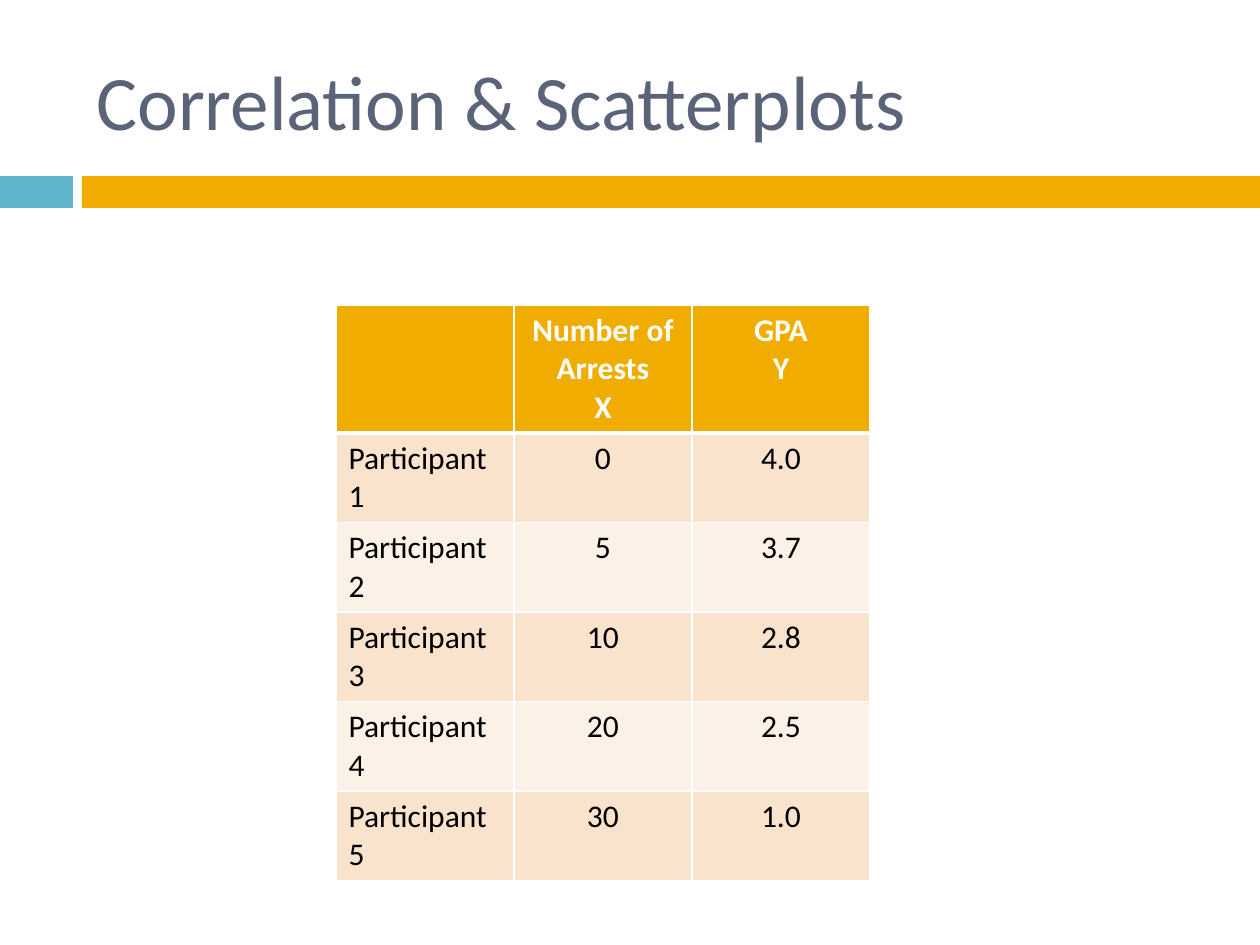
from lxml.etree import SubElement
from pptx import Presentation
from pptx.dml.color import RGBColor
from pptx.enum.shapes import MSO_SHAPE as Shape
from pptx.enum.text import MSO_ANCHOR as Anchor, PP_ALIGN as Align
from pptx.oxml.ns import qn
from pptx.util import Emu, Pt

PX = 914400 // 126
WHITE = RGBColor(0xFF, 0xFF, 0xFF)
BLACK = RGBColor(0x00, 0x00, 0x00)
SLATE = RGBColor(0x5A, 0x63, 0x78)
BLUE = RGBColor(0x60, 0xB5, 0xCC)
GOLD = RGBColor(0xF0, 0xAD, 0x00)
PEACH = RGBColor(0xF9, 0xE3, 0xCC)
CREAM = RGBColor(0xFC, 0xF1, 0xE7)

HEADER = ["", "Number of Arrests\nX", "GPA\nY"]
RESULTS = [("0", "4.0"), ("5", "3.7"), ("10", "2.8"), ("20", "2.5"), ("30", "1.0")]


class SlideBuilder:
    """Holds the type style and the current slide."""

    def __init__(self, slide, font_name="Calibri"):
        self.slide = slide
        self.font_name = font_name

    def box(self, *lengths):
        return [Emu(length * PX) for length in lengths]

    def style_text(self, text_frame, size, color, align, bold=False):
        for paragraph in text_frame.paragraphs:
            paragraph.alignment = align
            font = paragraph.font
            font.size, font.bold, font.name = Pt(size), bold, self.font_name
            font.color.rgb = color

    def title(self, text, *place):
        shape = self.slide.shapes.title
        shape.left, shape.top, shape.width, shape.height = self.box(*place)
        shape.text_frame.text = text
        shape.text_frame.vertical_anchor = Anchor.MIDDLE
        self.style_text(shape.text_frame, 44, SLATE, Align.LEFT)

    def bar(self, color, *place):
        shape = self.slide.shapes.add_shape(Shape.RECTANGLE, *self.box(*place))
        shape.shadow.inherit = False
        shape.fill.solid()
        shape.fill.fore_color.rgb = color
        shape.line.fill.background()

    def borders(self, cell, bottom):
        properties = cell._tc.get_or_add_tcPr()
        widths = {"a:lnL": 1, "a:lnR": 1, "a:lnT": 1, "a:lnB": bottom}
        for index, (side, width) in enumerate(widths.items()):
            line = SubElement(properties, qn(side), w=str(Pt(width)))
            fill = SubElement(line, qn("a:solidFill"))
            SubElement(fill, qn("a:srgbClr"), val=str(WHITE))
            properties.insert(index, line)

    def cell(self, cell, text, row, column):
        header = row == 0
        cell.text_frame.text = text
        align = Align.LEFT if column == 0 and not header else Align.CENTER
        self.style_text(cell.text_frame, 18, WHITE if header else BLACK, align, header)
        cell.fill.solid()
        cell.fill.fore_color.rgb = GOLD if header else (CREAM, PEACH)[row % 2]
        self.borders(cell, 3 if header else 1)

    def table(self, rows, left, top, column_width, row_height):
        columns = len(rows[0])
        place = self.box(left, top, column_width * columns, row_height * len(rows))
        table = self.slide.shapes.add_table(len(rows), columns, *place).table
        for row, texts in enumerate(rows):
            for column, text in enumerate(texts):
                self.cell(table.cell(row, column), text, row, column)


def main():
    presentation = Presentation()
    presentation.slide_width = Emu(1260 * PX)
    presentation.slide_height = Emu(945 * PX)
    slide = presentation.slides.add_slide(presentation.slide_layouts[5])
    builder = SlideBuilder(slide)
    builder.bar(BLUE, 0, 176, 73, 32)
    builder.bar(GOLD, 82, 176, 1178, 32)
    builder.title("Correlation & Scatterplots", 84, 32, 1124, 136)
    participants = [
        (f"Participant{number}", *values)
        for number, values in enumerate(RESULTS, start=1)
    ]
    builder.table([HEADER, *participants], 336, 305, 178, 51)
    presentation.save("out.pptx")


if __name__ == "__main__":
    main()
